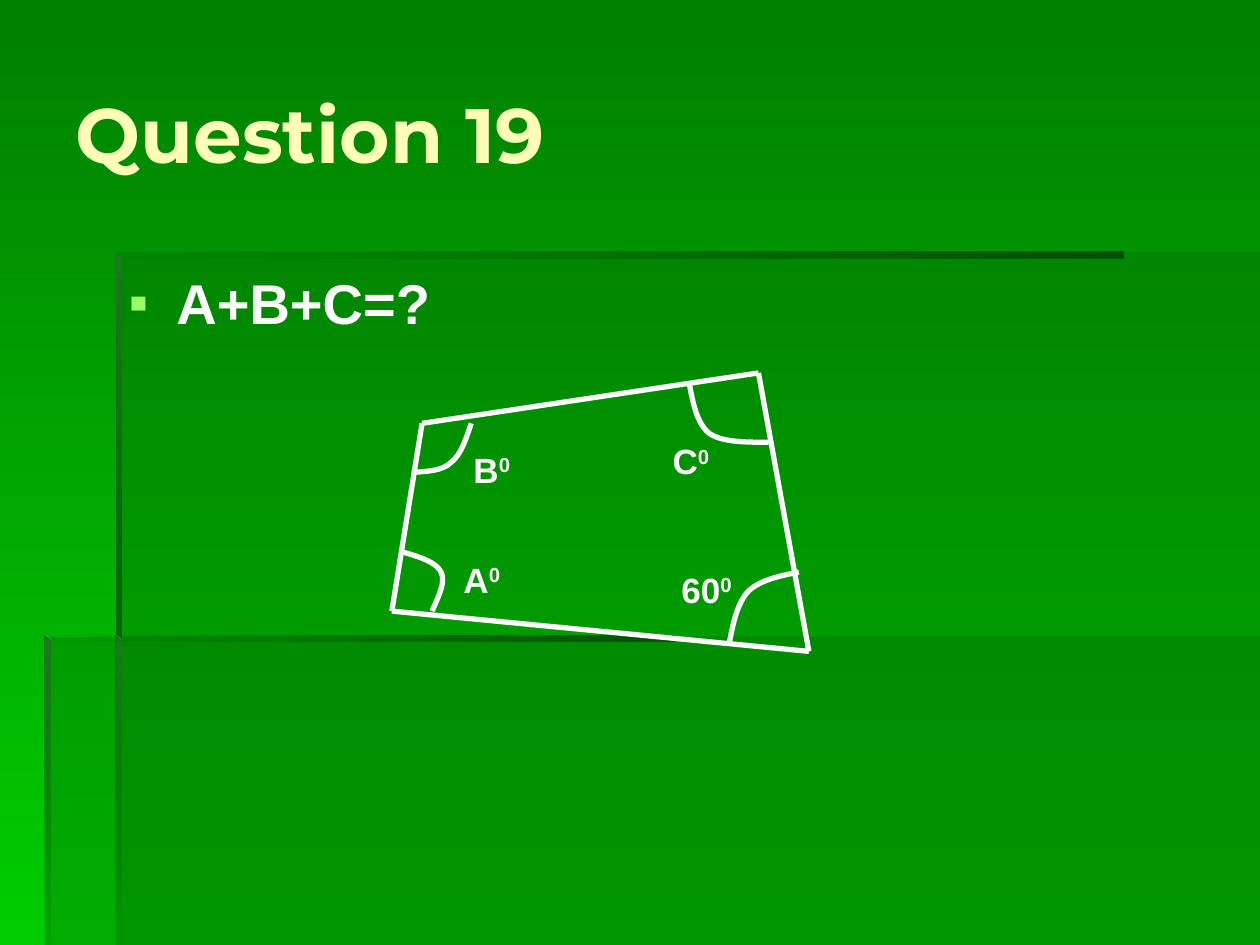
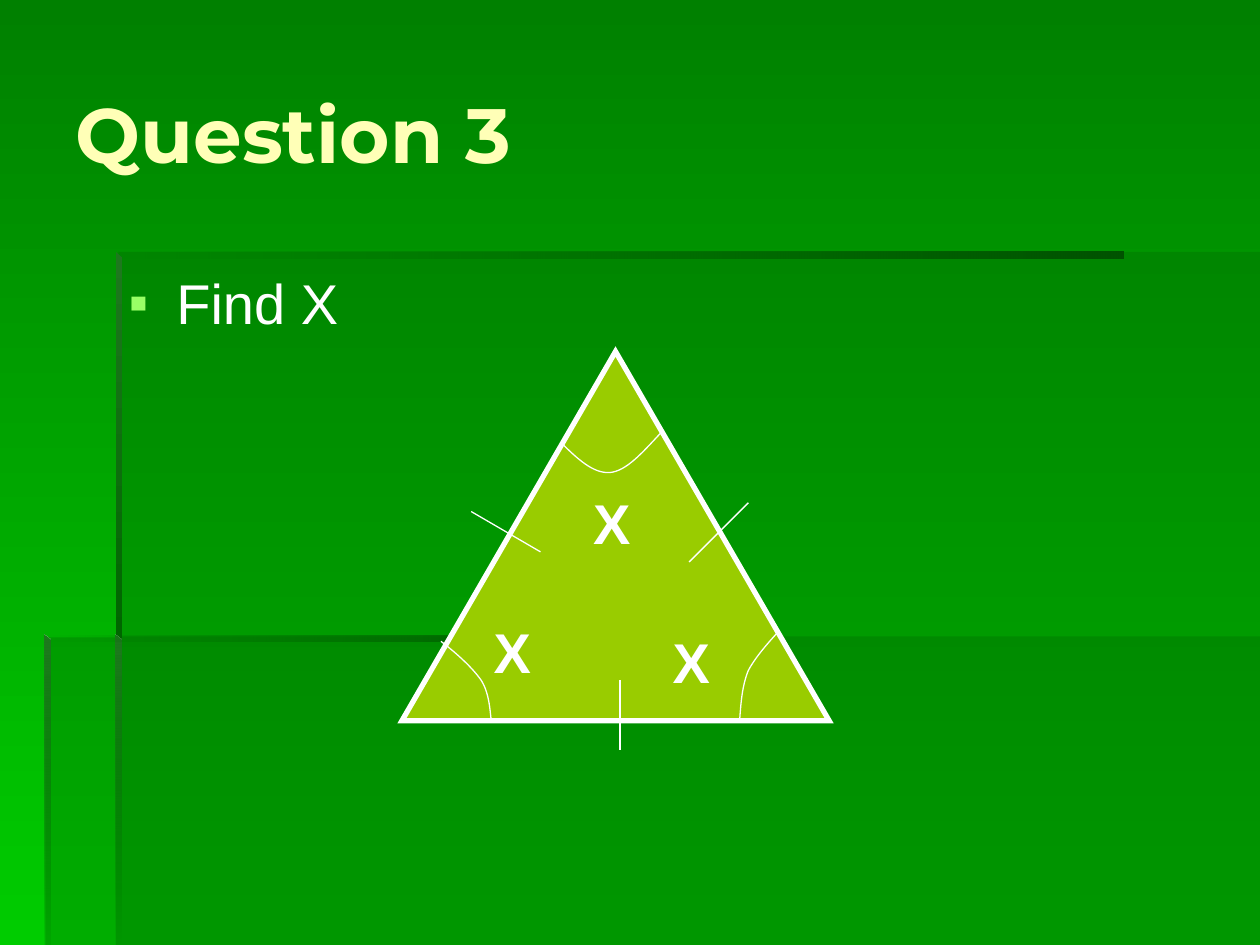
from dataclasses import dataclass
from itertools import pairwise
from typing import NamedTuple

from lxml.etree import SubElement
from pptx import Presentation
from pptx.dml.color import RGBColor
from pptx.enum.shapes import MSO_CONNECTOR, MSO_SHAPE
from pptx.enum.text import MSO_ANCHOR, MSO_AUTO_SIZE, PP_ALIGN
from pptx.oxml.ns import qn
from pptx.util import Inches, Pt

SLIDE_WIDTH, SLIDE_HEIGHT = Inches(10), Inches(7.5)
COLUMNS, ROWS = 100, 75

Point = tuple[float, float]


@dataclass(frozen=True)
class Theme:
    sky_top: str = "008000"
    sky_bottom: str = "00CC00"
    panel: str = "006600"
    ledge: str = "005300"
    post: str = "1E781E"
    title: str = "FFFFB7"
    ink: str = "FFFFFF"
    bullet: str = "99FF66"
    triangle: str = "99CC00"
    title_font: str = "Montserrat"
    text_font: str = "Arial"
    title_size: float = 44
    text_size: float = 32
    angle_size: float = 20
    thick: float = 3
    thin: float = 0.75


THEME = Theme()


class Area(NamedTuple):
    left: float
    top: float
    width: float
    height: float


class Stop(NamedTuple):
    color: str
    opacity: int = 100


class Panel(NamedTuple):
    outline: list[Point]
    stops: list[Stop]
    angle: int = 0


class Label(NamedTuple):
    text: str
    area: Area
    size: float
    power: str = ""


class Arc(NamedTuple):
    points: list[Point]


TITLE_AREA = Area(5, 2.7, 91.7, 15.7)
BODY_AREA = Area(9.2, 20.8, 87.6, 45.8)
DOWN, LEFTWARD = 270, 180
SHADE = [Stop(THEME.panel, 30)]
LEDGE_FADE = [Stop(THEME.ledge), Stop(THEME.panel, 0)]


def post_fade(opacity: int) -> list[Stop]:
    return [Stop(THEME.post), Stop(THEME.panel, opacity)]


def ledge(left: float, top: float, width: float) -> Panel:
    right, bottom = left + width, top + 0.5
    outline = [(left, top), (left, bottom), (right, bottom), (right, top)]
    return Panel(outline, LEDGE_FADE, LEFTWARD)


def post(left: float, top: float, bottom: float, opacity: int) -> Panel:
    right = left + 0.5
    outline = [(left, top), (left, bottom), (right, bottom), (right, top + 0.45)]
    return Panel(outline, post_fade(opacity), DOWN)


FRAME = [
    Panel([(9.2, 50.5), (9.2, ROWS), (COLUMNS, ROWS), (COLUMNS, 50.5)], SHADE),
    Panel([(9.4, 50.6), (3.6, 50.6), (3.6, ROWS), (COLUMNS, ROWS),
           (COLUMNS, 20), (9.4, 20)], SHADE),
    ledge(9.2, 20, 80),
    post(9.2, 20, 51, 100),
    post(9.15, 50.4, ROWS, 0),
    ledge(3.5, 50.4, 50),
    post(3.5, 50.4, ROWS, 10),
]

CORNERS = [(33.5, 33.6), (31.1, 48.5), (64.2, 51.7), (60.2, 29.6)]
CORNER_ARCS = [
    Arc([(63.4, 45.4), (61.9, 45.7), (60.4, 46), (59.4, 46.9),
         (58.5, 47.9), (58.2, 49.4), (57.9, 50.9)]),
    Arc([(31.9, 43.8), (33.3, 44.2), (34.6, 44.6), (35, 45.4),
         (35.4, 46.2), (34.8, 47.3), (34.3, 48.5)]),
    Arc([(32.7, 37.5), (33.9, 37.4), (35.1, 37.4), (35.8, 36.7),
         (36.6, 36.1), (37, 34.8), (37.4, 33.6)]),
    Arc([(54.7, 30.4), (55, 32), (55.3, 33.6), (56.3, 34.4),
         (57.3, 35.1), (59.2, 35.1), (61, 35.1)]),
]
ANGLE_LABELS = [
    Label(text, Area(left, top, 6.3, 4.4), THEME.angle_size, "0")
    for text, left, top in [("60", 53.1, 44.6), ("C", 52.4, 34.4),
                            ("B", 36.6, 35.1), ("A", 35.8, 43.8)]
]

TRIANGLE = Area(31.9, 27.9, 33.9, 29.3)
TICKS = [
    ((37.4, 40.6), (42.9, 43.8)),
    ((59.4, 39.9), (54.7, 44.6)),
    ((49.2, 59.5), (49.2, 54)),
]
TRIANGLE_ARCS = [
    Arc([(35, 50.9), (36.3, 51.9), (37.5, 53), (38.2, 54),
         (38.9, 55.1), (38.9, 56.7), (39, 57.2)]),
    Arc([(61.8, 50.1), (60.9, 51.1), (60, 52.1), (59.4, 53.2),
         (58.9, 54.4), (58.8, 55.8), (58.7, 57.2)]),
    Arc([(44.5, 35.1), (45.8, 36.4), (47.1, 37.6), (48.4, 37.5),
         (49.7, 37.4), (51, 35.9), (52.4, 34.4)]),
]
X_LABELS = [
    Label("X", Area(left, top, 5.5, 6.4), THEME.text_size)
    for left, top in [(38.2, 48.5), (52.4, 49.3), (46.1, 38.3)]
]


def rgb(color: str) -> RGBColor:
    return RGBColor.from_string(color)


def across(columns: float) -> int:
    return round(SLIDE_WIDTH * columns / COLUMNS)


def down(rows: float) -> int:
    return round(SLIDE_HEIGHT * rows / ROWS)


def spot(point: Point) -> tuple[int, int]:
    return across(point[0]), down(point[1])


def frame_of(area: Area) -> tuple[int, int, int, int]:
    return across(area.left), down(area.top), across(area.width), down(area.height)


def place(shape, area: Area) -> None:
    shape.left, shape.top, shape.width, shape.height = frame_of(area)


def set_font(para, name: str, size: float, color: str, bold: bool) -> None:
    para.font.name = name
    para.font.size = Pt(size)
    para.font.bold = bold
    para.font.color.rgb = rgb(color)


def set_stroke(line, width: float) -> None:
    line.color.rgb = rgb(THEME.ink)
    line.width = Pt(width)


def fill_gradient(fill, stops: list[Stop], angle: int) -> None:
    fill.gradient()
    fill.gradient_angle = angle
    for target, stop in zip(fill.gradient_stops, stops):
        target.color.rgb = rgb(stop.color)


def draw_outline(page, points: list[Point], close: bool):
    start, *rest = map(spot, points)
    builder = page.shapes.build_freeform(*start)
    builder.add_line_segments(rest, close=close)
    shape = builder.convert_to_shape()
    shape.shadow.inherit = False
    return shape


def draw_panel(page, panel: Panel):
    shape = draw_outline(page, panel.outline, True)
    if len(panel.stops) > 1:
        fill_gradient(shape.fill, panel.stops, panel.angle)
    else:
        shape.fill.solid()
        shape.fill.fore_color.rgb = rgb(panel.stops[0].color)
    shape.line.fill.background()
    for color, stop in zip(shape.element.iter(qn("a:srgbClr")), panel.stops):
        if stop.opacity < 100:
            SubElement(color, qn("a:alpha"), val=str(stop.opacity * 1000))
    return shape


def draw_arc(page, arc: Arc, width: float) -> None:
    shape = draw_outline(page, arc.points, False)
    shape.fill.background()
    set_stroke(shape.line, width)
    route = next(shape.element.iter(qn("a:path")))
    steps = route.findall(qn("a:lnTo"))
    for first in range(0, len(steps), 3):
        curve = SubElement(route, qn("a:cubicBezTo"))
        for step in steps[first:first + 3]:
            curve.append(step[0])
            route.remove(step)


def draw_line(page, start: Point, end: Point, width: float) -> None:
    line = page.shapes.add_connector(MSO_CONNECTOR.STRAIGHT, *spot(start), *spot(end))
    set_stroke(line.line, width)
    SubElement(line.element.spPr, qn("a:effectLst"))


def draw_label(page, label: Label) -> None:
    box = page.shapes.add_textbox(*frame_of(label.area))
    box.text_frame.word_wrap = True
    box.text_frame.auto_size = MSO_AUTO_SIZE.SHAPE_TO_FIT_TEXT
    para = box.text_frame.paragraphs[0]
    set_font(para, THEME.text_font, label.size, THEME.ink, True)
    para.add_run().text = label.text
    if label.power:
        span = para.add_run()
        span.text = label.power
        span.font._element.set("baseline", "30000")


def prepare_layout(layout) -> None:
    fill_gradient(layout.background.fill, [Stop(THEME.sky_top), Stop(THEME.sky_bottom)], DOWN)
    title, body, *extras = layout.placeholders
    place(title, TITLE_AREA)
    place(body, BODY_AREA)
    for extra in extras:
        extra.element.getparent().remove(extra.element)


def move_frame_to_layout(page, layout) -> None:
    for index, panel in enumerate(FRAME):
        layout.shapes.element.insert(2 + index, draw_panel(page, panel).element)


def add_bullet(para) -> None:
    properties = para._p.get_or_add_pPr()
    indent = across(3.8)
    properties.set("marL", str(indent))
    properties.set("indent", str(-indent))
    color = SubElement(properties, qn("a:buClr"))
    SubElement(color, qn("a:srgbClr"), val=THEME.bullet)
    SubElement(properties, qn("a:buFont"), typeface=THEME.text_font)
    SubElement(properties, qn("a:buChar"), char="▪")


def add_question(deck, layout, heading: str, task: str, bold: bool):
    page = deck.slides.add_slide(layout)
    title, body = page.placeholders
    place(title, TITLE_AREA)
    place(body, BODY_AREA)
    title.text_frame.text = heading
    title.text_frame.vertical_anchor = MSO_ANCHOR.MIDDLE
    para = title.text_frame.paragraphs[0]
    para.alignment = PP_ALIGN.LEFT
    set_font(para, THEME.title_font, THEME.title_size, THEME.title, True)
    body.text_frame.text = task
    para = body.text_frame.paragraphs[0]
    add_bullet(para)
    para.space_before = Pt(0)
    set_font(para, THEME.text_font, THEME.text_size, THEME.ink, bold)
    return page


def draw_quadrilateral(page) -> None:
    for start, end in pairwise([*CORNERS, CORNERS[0]]):
        draw_line(page, start, end, THEME.thick)
    for arc in CORNER_ARCS:
        draw_arc(page, arc, THEME.thick)
    for label in ANGLE_LABELS:
        draw_label(page, label)


def draw_triangle(page) -> None:
    triangle = page.shapes.add_shape(MSO_SHAPE.ISOSCELES_TRIANGLE, *frame_of(TRIANGLE))
    triangle.shadow.inherit = False
    triangle.fill.solid()
    triangle.fill.fore_color.rgb = rgb(THEME.triangle)
    set_stroke(triangle.line, THEME.thick)
    SubElement(triangle.element.spPr.find(qn("a:ln")), qn("a:miter"), lim="800000")
    for start, end in TICKS:
        draw_line(page, start, end, THEME.thin)
    for arc in TRIANGLE_ARCS:
        draw_arc(page, arc, THEME.thin)
    for label in X_LABELS:
        draw_label(page, label)


def main() -> None:
    deck = Presentation()
    deck.slide_width, deck.slide_height = SLIDE_WIDTH, SLIDE_HEIGHT
    layout = deck.slide_layouts[1]
    prepare_layout(layout)
    angles = add_question(deck, layout, "Question 19", "A+B+C=?", True)
    move_frame_to_layout(angles, layout)
    draw_quadrilateral(angles)
    draw_triangle(add_question(deck, layout, "Question 3", "Find X", False))
    deck.save("out.pptx")


if __name__ == "__main__":
    main()
